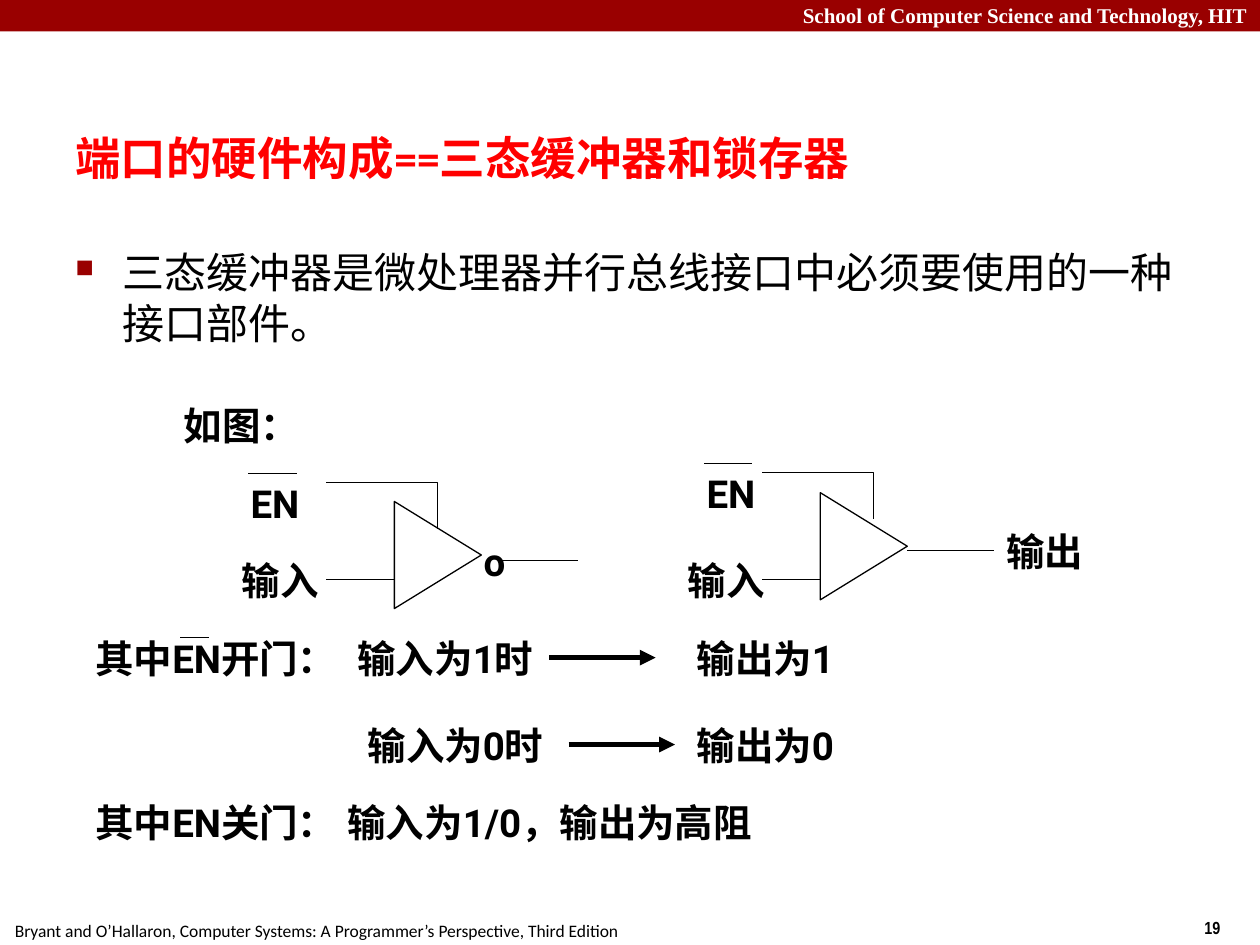
from lxml.etree import SubElement
from pptx import Presentation
from pptx.dml.color import RGBColor
from pptx.enum.shapes import MSO_CONNECTOR, MSO_SHAPE
from pptx.enum.text import MSO_ANCHOR, PP_ALIGN
from pptx.oxml.ns import qn
from pptx.util import Pt

HEX = {"bar": "990000", "title": "FF0000", "ink": "000000", "paper": "FFFFFF"}
RGB = {name: RGBColor.from_string(code) for name, code in HEX.items()}

deck = Presentation()
deck.slide_width, deck.slide_height = Pt(720), Pt(540)
slide = deck.slides.add_slide(deck.slide_layouts[6])
shapes = slide.shapes


def write(text, x, y, w, h, size=22, font="Roboto", color="ink", bold=True):
    box = shapes.add_textbox(Pt(x), Pt(y), Pt(w), Pt(h))
    frame = box.text_frame
    frame.word_wrap = True
    frame.text = text
    face = frame.paragraphs[0].runs[0].font
    face.size, face.name, face.bold = Pt(size), font, bold
    face.color.rgb = RGB[color]
    return frame


def draw(x1, y1, x2, y2, width=0.75, arrow=False):
    line = shapes.add_connector(
        MSO_CONNECTOR.STRAIGHT, Pt(x1), Pt(y1), Pt(x2), Pt(y2))
    line.line.width = Pt(width)
    line.line.color.rgb = RGB["ink"]
    props = line._element.spPr
    if arrow:
        SubElement(props.find(qn("a:ln")), qn("a:tailEnd"), type="triangle")
    SubElement(props, qn("a:effectLst"))


bar = shapes.add_shape(MSO_SHAPE.RECTANGLE, 0, 0, Pt(720), Pt(18))
bar.shadow.inherit = False
bar.fill.solid()
bar.fill.fore_color.rgb = RGB["bar"]
bar.line.fill.background()

write("19", 681.1, 520.6, 38, 19.4, 10, "Arial Narrow")
write("Bryant and O’Hallaron, Computer Systems: A Programmer’s Perspective, "
      "Third Edition", 1.4, 522, 400, 18, 10, "Calibri", bold=False)
school = write("School of Computer Science and Technology, HIT",
               0, -2.2, 720, 21.6, 12, "Times New Roman", "paper")
school.paragraphs[0].alignment = PP_ALIGN.RIGHT

title = write("端口的硬件构成==三态缓冲器和锁存器",
              36, 41, 648.7, 98, 26, "Calibri", "title")
title.vertical_anchor = MSO_ANCHOR.MIDDLE

body = write("三态缓冲器是微处理器并行总线接口中必须要使用的一种接口部件。",
             36, 137.5, 648.7, 90.7, 24, "Calibri", bold=False)
props = body.paragraphs[0]._p.get_or_add_pPr()
props.set("marL", str(Pt(27)))
props.set("indent", str(Pt(-27)))
tint = SubElement(props, qn("a:buClr"))
SubElement(tint, qn("a:srgbClr"), val=HEX["bar"])
SubElement(props, qn("a:buSzPct"), val="60000")
SubElement(props, qn("a:buChar"), char="■")

for x, y in [(219.6, 292.3), (463, 287.3)]:
    gate = shapes.add_shape(
        MSO_SHAPE.ISOSCELES_TRIANGLE, Pt(x), Pt(y), Pt(61.2), Pt(49.7))
    gate.rotation = 90
    gate.shadow.inherit = False
    gate.fill.solid()
    gate.fill.fore_color.rgb = RGB["paper"]
    gate.line.color.rgb = RGB["ink"]
    gate.line.width = Pt(0.75)

for x, y in [(249.8, 275.8), (499, 270)]:
    path = shapes.build_freeform(Pt(x), Pt(y + 26.4))
    path.add_line_segments([(Pt(x), Pt(y)), (Pt(x - 63.4), Pt(y))], close=False)
    wire = path.convert_to_shape()
    wire.shadow.inherit = False
    wire.fill.background()
    wire.line.color.rgb = RGB["ink"]
    wire.line.width = Pt(0.75)

for text, x, y, w in [
    ("如图：", 97.9, 226.1, 105),
    ("o", 269.3, 303.8, 22.3),
    ("EN", 136.1, 270.7, 44.6),
    ("输入", 131, 314.6, 61.2),
    ("EN", 396.7, 265, 44.6),
    ("输入", 385.9, 314.6, 61.2),
    ("输出", 568.1, 298.1, 82.8),
    ("其中EN开门：", 47.5, 359.3, 154.8),
    ("输入为1时", 197.3, 359.3, 127.4),
    ("输出为1", 391, 359.3, 154.8),
    ("输入为0时", 203, 409, 193.7),
    ("输出为0", 391, 409, 193.7),
    ("其中EN关门：", 47.5, 452.9, 172),
    ("输入为1/0，输出为高阻", 191.5, 452.9, 304.6),
]:
    write(text, x, y, w, 33.8)

for x, y, end in [
    (285.8, 320.4, 330.5),
    (518.4, 314.6, 568.1),
    (141.8, 270.7, 169.9),
    (186.5, 331.2, 225.4),
    (402.5, 264.8, 429.8),
    (435.6, 331.2, 468.7),
    (103, 364.3, 119.5),
]:
    draw(x, y, end, y)

for x, y in [(313.9, 375.8), (324.9, 425.5)]:
    draw(x, y, x + 60.8, y, 3, True)

deck.save("out.pptx")
